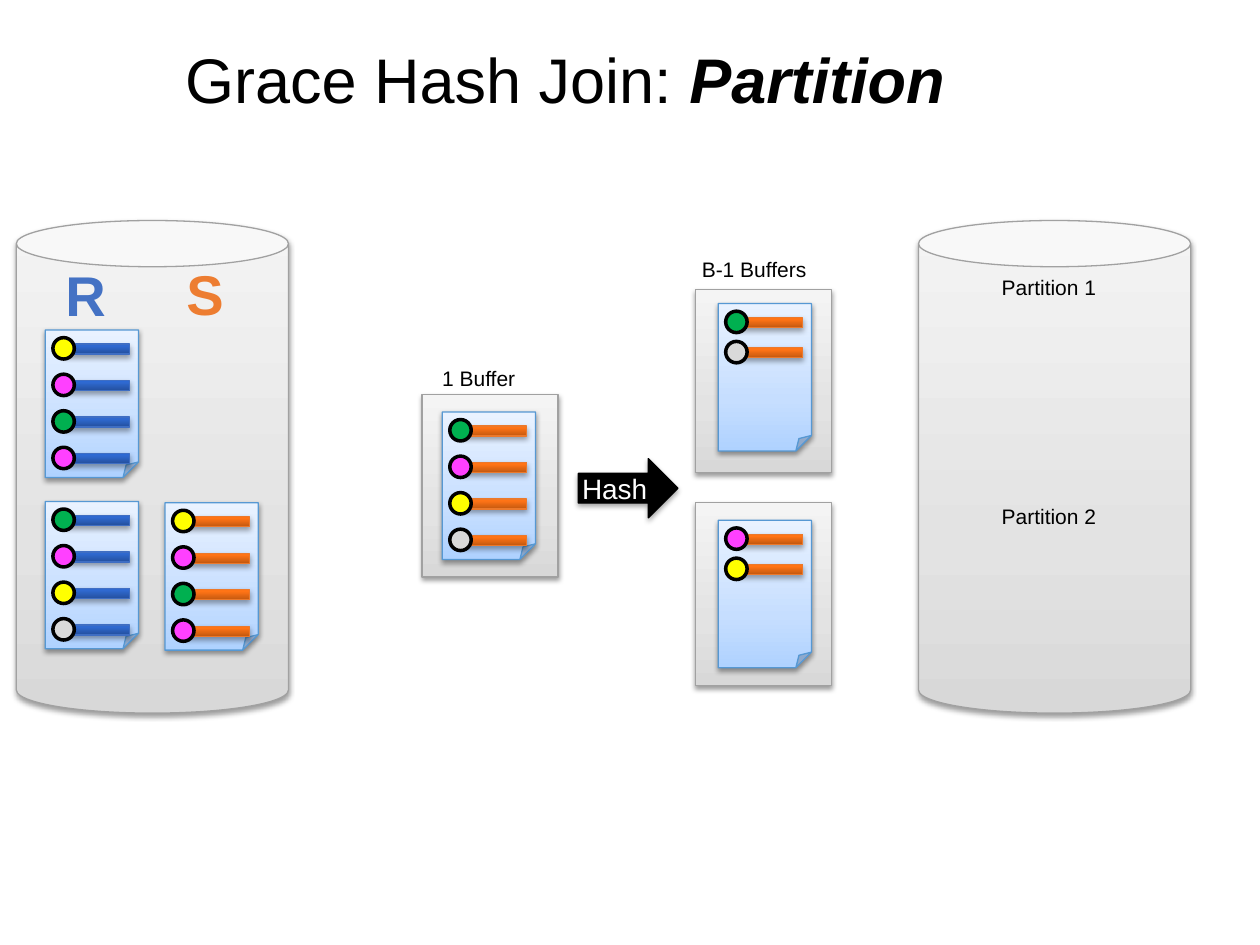
from lxml import etree
from pptx import Presentation, util as u
from pptx.dml.color import RGBColor
from pptx.enum import shapes, text
from pptx.oxml import ns

GREY = [(0, "D8D8D8"), (35, "E3E3E3"), (100, "F4F4F4")]
PAPER = [(0, "AFD2FF"), (35, "C6DEFF"), (100, "E9F2FF")]
BLUE = ([(0, "24509E"), (80, "2F69D0"), (100, "2C69D4")], "3F6EC3")
ORANGE = ([(0, "C3580F"), (80, "FF7416"), (100, "FF7517")], "EC792B")
YELLOW, PINK, GREEN, SILVER = "FFFF00", "FF40FF", "00B050", "D9D9D9"
SHAPE = shapes.MSO_SHAPE


def color(hex_string):
    return RGBColor.from_string(hex_string)


class Deck:
    font = "Arial"
    inset = u.Inches(0.05)

    def __init__(self, prs):
        self.s = prs.slides.add_slide(prs.slide_layouts[5])

    def place(self, sp, x, y, w, h):
        sp.left, sp.top, sp.width, sp.height = map(u.Inches, (x, y, w, h))

    def style_frame(self, tf):
        tf.margin_left = tf.margin_right = self.inset
        tf.margin_top = tf.margin_bottom = self.inset

    def style_font(self, font, size, hex_string, bold=None):
        font.name, font.size, font.bold = self.font, u.Pt(size), bold
        font.color.rgb = color(hex_string)

    def title(self, plain, strong, *box):
        sp = self.s.shapes.title
        self.place(sp, *box)
        tf = sp.text_frame
        self.style_frame(tf)
        tf.vertical_anchor = text.MSO_ANCHOR.MIDDLE
        p = tf.paragraphs[0]
        p.alignment = text.PP_ALIGN.LEFT
        self.style_font(p.font, 36, "000000")
        p.add_run().text = plain
        r = p.add_run()
        r.text = strong
        r.font.bold = r.font.italic = True

    def label(self, words, x, y, w, h=0.29, size=12, hex_string="000000", bold=None):
        tf = self.s.shapes.add_textbox(*map(u.Inches, (x, y, w, h))).text_frame
        self.style_frame(tf)
        tf.word_wrap = False
        tf.auto_size = text.MSO_AUTO_SIZE.SHAPE_TO_FIT_TEXT
        p = tf.paragraphs[0]
        p.text = words
        self.style_font(p.font, size, hex_string, bold)

    def gradient(self, sp, stops):
        sp.fill.gradient()
        sp.fill.gradient_angle = 90
        gs_list = sp.element.spPr.find(".//" + ns.qn("a:gsLst"))
        for old in list(gs_list):
            gs_list.remove(old)
        for pos, hex_string in stops:
            gs = etree.SubElement(gs_list, ns.qn("a:gs"), pos=str(pos * 1000))
            etree.SubElement(gs, ns.qn("a:srgbClr"), val=hex_string)

    def shadow(self, sp, dist, alpha):
        effects = sp.element.spPr.find(ns.qn("a:effectLst"))
        outer = etree.SubElement(effects, ns.qn("a:outerShdw"), blurRad=str(u.Pt(3)),
                                 dist=str(u.Pt(dist)), dir="5400000", rotWithShape="0")
        clr = etree.SubElement(outer, ns.qn("a:srgbClr"), val="000000")
        etree.SubElement(clr, ns.qn("a:alpha"), val=str(alpha * 1000))

    def shape(self, kind, x, y, w, h, fill, line, width=0.75, shadow=(1.6, 38)):
        sp = self.s.shapes.add_shape(kind, *map(u.Inches, (x, y, w, h)))
        if isinstance(fill, str):
            sp.fill.solid()
            sp.fill.fore_color.rgb = color(fill)
        else:
            self.gradient(sp, fill)
        sp.line.color.rgb = color(line)
        sp.line.width = u.Pt(width)
        sp.shadow.inherit = False
        if shadow:
            self.shadow(sp, *shadow)
        return sp

    def disk(self, x, y):
        sp = self.shape(SHAPE.CAN, x, y, 2.16, 3.91, GREY, "A1A1A1")
        sp.adjustments[0] = 0.17

    def buffer(self, x, y):
        self.shape(SHAPE.RECTANGLE, x, y, 1.08, 1.45, GREY, "A1A1A1")

    def page(self, x, y, scheme, dots, step=0.29):
        self.shape(SHAPE.FOLDED_CORNER, x, y, 0.74, 1.17, PAPER, "5698D3")
        stops, line = scheme
        for i, dot in enumerate(dots):
            top = y + 0.06 + i * step
            self.shape(SHAPE.RECTANGLE, x + 0.15, top + 0.05, 0.52, 0.08,
                       stops, line, shadow=(1.8, 35))
            self.shape(SHAPE.OVAL, x + 0.06, top, 0.17, 0.17, dot, "000000", 2, None)


def main():
    prs = Presentation()
    prs.slide_width, prs.slide_height = u.Inches(10), u.Inches(7.5)
    d = Deck(prs)
    d.title("Grace Hash Join:", " Partition", 1.42, 0, 7.83, 1.25)

    # Input and output disks
    for x in (0.13, 7.29):
        d.disk(x, 1.75)
    d.label("R", 0.47, 2.02, 0.43, 0.63, 32, "4472C4", True)
    d.label("S", 1.43, 2.01, 0.4, 0.63, 32, "ED7D31", True)
    d.label("Partition 1", 7.9, 2.13, 0.87)
    d.label("Partition 2", 7.9, 3.95, 0.87)

    # Pages of R and S
    d.page(0.36, 2.62, BLUE, [YELLOW, PINK, GREEN, PINK])
    d.page(0.36, 3.98, BLUE, [GREEN, PINK, YELLOW, SILVER])
    d.page(1.31, 3.99, ORANGE, [YELLOW, PINK, GREEN, PINK])

    # Input buffer
    d.label("1 Buffer", 3.46, 2.85, 0.7)
    d.buffer(3.35, 3.13)
    d.page(3.51, 3.27, ORANGE, [GREEN, PINK, YELLOW, SILVER])

    # Hash step
    d.shape(SHAPE.RIGHT_ARROW, 4.59, 3.64, 0.79, 0.47, "000000", "000000", shadow=(1.8, 35))
    d.label("Hash", 4.57, 3.69, 0.63, 0.34, 16, "FFFFFF")

    # Output buffers
    d.label("B-1 Buffers", 5.52, 1.99, 0.96)
    d.buffer(5.52, 2.3)
    d.page(5.7, 2.41, ORANGE, [GREEN, SILVER], 0.24)
    d.buffer(5.52, 3.99)
    d.page(5.7, 4.13, ORANGE, [PINK, YELLOW], 0.24)

    prs.save("out.pptx")


if __name__ == "__main__":
    main()
